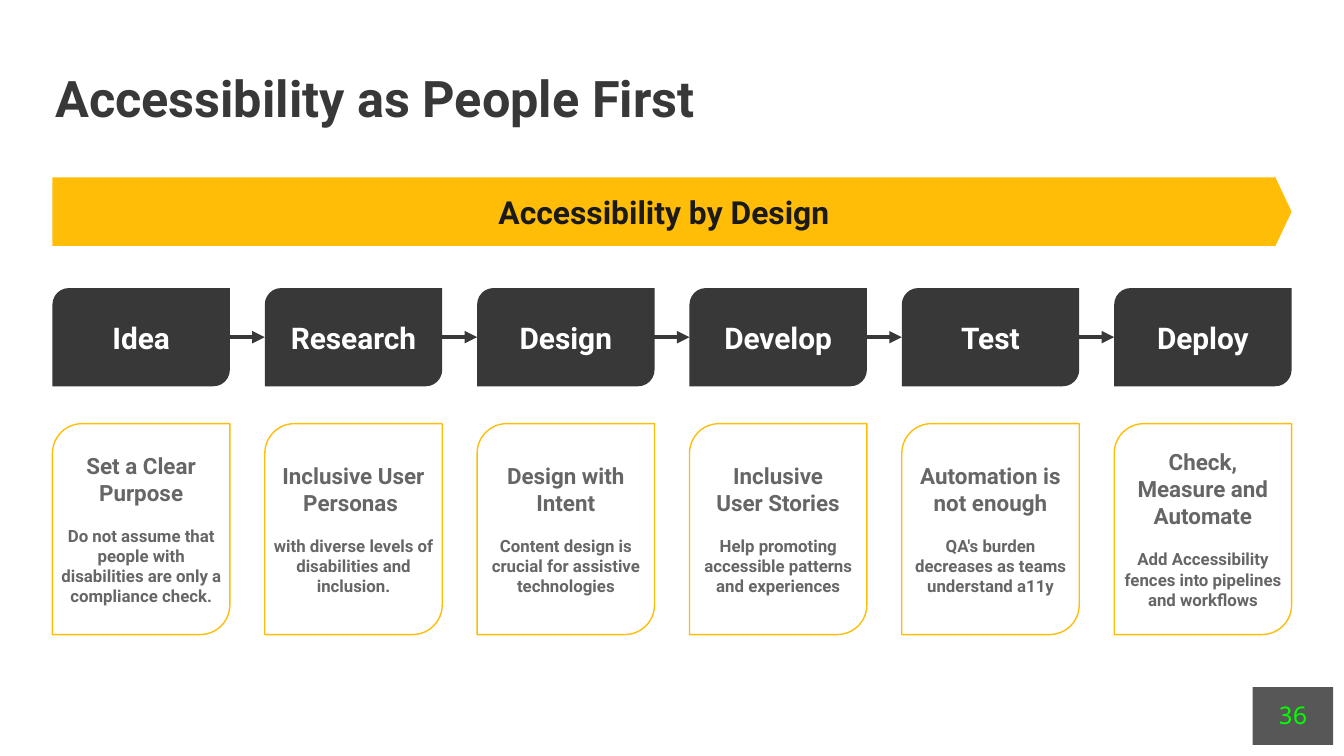
"""Build the Accessibility as People First process slide."""
from lxml.etree import SubElement
from pptx import Presentation
from pptx.dml.color import RGBColor as Rgb
from pptx.enum.shapes import MSO_CONNECTOR as Line, MSO_SHAPE as Form
from pptx.enum.text import MSO_ANCHOR as Anchor, MSO_AUTO_SIZE as Fit, PP_ALIGN as Align
from pptx.oxml.ns import qn
from pptx.util import Inches, Pt

COLORS = {
    "dark": "383838", "accent": "FFBD07", "ink": "1A1A1A", "gray": "666666",
    "paper": "FFFFFF", "black": "000000", "green": "00FF00",
}
MARGIN, COLUMN, GAP = 3.9, 13.2, 2.6
STAGE_TOP, STAGE_HEIGHT = 38.1, 13
CARD_TOP, CARD_HEIGHT = 56.05, 27.9

STAGES = [
    ("Idea", "Set a Clear Purpose",
     "Do not assume that people with disabilities are only a compliance check."),
    ("Research", "Inclusive User Personas ",
     "with diverse levels of disabilities and inclusion."),
    ("Design", "Design with Intent",
     "Content design is crucial for assistive technologies"),
    ("Develop", "Inclusive\nUser Stories",
     "Help promoting accessible patterns and experiences"),
    ("Test", "Automation is not enough",
     "QA's burden decreases as teams understand a11y"),
    ("Deploy", "Check, Measure and Automate",
     "Add Accessibility fences into pipelines and workflows"),
]


def color(name):
    return Rgb.from_string(COLORS[name])


def write(frame, text, size, ink, font="Roboto", bold=True, align=Align.CENTER, before=0):
    for index, line in enumerate(text.split("\n")):
        paragraph = frame.paragraphs[0] if not frame.text else frame.add_paragraph()
        paragraph.alignment = align
        if before and index == 0:
            paragraph.space_before = Pt(before)
        run = paragraph.add_run()
        run.text = line
        run.font.name, run.font.size, run.font.bold = font, Pt(size), bold
        run.font.color.rgb = color(ink)


class Board:
    """Hold the slide and its style, measuring in percent of slide width and height."""

    def __init__(self, deck):
        self.width, self.height = deck.slide_width, deck.slide_height
        self.slide = deck.slides.add_slide(deck.slide_layouts[5])

    def x(self, share):
        return round(self.width * share / 100)

    def y(self, share):
        return round(self.height * share / 100)

    def place(self, left, top, width, height):
        return self.x(left), self.y(top), self.x(width), self.y(height)

    def set_frame(self, frame, insets, anchor):
        frame.word_wrap, frame.auto_size = True, Fit.NONE
        frame.vertical_anchor = anchor
        (frame.margin_left, frame.margin_top,
         frame.margin_right, frame.margin_bottom) = map(Inches, insets)

    def title(self, text, box):
        heading = self.slide.shapes.title
        heading.left, heading.top, heading.width, heading.height = self.place(*box)
        self.set_frame(heading.text_frame, (0.1, 0.05, 0.1, 0.05), Anchor.TOP)
        write(heading.text_frame, text, size=27, ink="dark", align=Align.LEFT)

    def shape(self, form, box, fill, outline=None, adjust=(), alpha=None,
              insets=(0.1,) * 4, anchor=Anchor.MIDDLE):
        block = self.slide.shapes.add_shape(form, *self.place(*box))
        block.shadow.inherit = False
        for index, value in enumerate(adjust):
            block.adjustments[index] = value
        block.fill.solid()
        block.fill.fore_color.rgb = color(fill)
        if alpha:
            tint = block.element.spPr.find(qn("a:solidFill")).find(qn("a:srgbClr"))
            SubElement(tint, qn("a:alpha")).set("val", str(alpha * 1000))
        if outline:
            block.line.color.rgb = color(outline)
            block.line.width = Pt(0.75)
        else:
            block.line.fill.background()
        self.set_frame(block.text_frame, insets, anchor)
        return block.text_frame

    def arrow(self, start, end, level):
        link = self.slide.shapes.add_connector(
            Line.STRAIGHT, self.x(start), self.y(level), self.x(end), self.y(level))
        link.line.color.rgb = color("dark")
        link.line.width = Pt(2.25)
        SubElement(link.line._get_or_add_ln(), qn("a:tailEnd")).set("type", "triangle")
        SubElement(link.element.spPr, qn("a:effectLst"))

    def stage(self, left, name):
        label = self.shape(Form.ROUND_2_DIAG_RECTANGLE,
                           (left, STAGE_TOP, COLUMN, STAGE_HEIGHT),
                           "dark", adjust=(0.167, 0))
        write(label, name, size=16, ink="paper")

    def card(self, left, headline, detail):
        body = self.shape(Form.ROUND_2_DIAG_RECTANGLE,
                          (left, CARD_TOP, COLUMN, CARD_HEIGHT),
                          "paper", outline="accent", adjust=(0.167, 0), insets=(0,) * 4)
        write(body, headline, size=12, ink="gray")
        write(body, detail, size=9, ink="gray", before=10.6)


def main():
    deck = Presentation()
    deck.slide_width = Inches(10)
    deck.slide_height = deck.slide_width * 9 // 16
    board = Board(deck)
    board.title("Accessibility as People First", (3.1, 8.05, 86.5, 11.73))

    banner = board.shape(Form.RIGHT_ARROW, (MARGIN, 23.3, 100 - 2 * MARGIN, 9.42),
                         "accent", adjust=(0.963, 0.236), insets=(0, 0.1, 0, 0.1))
    write(banner, "Accessibility by Design", size=17, ink="ink")

    for index, (name, headline, detail) in enumerate(STAGES):
        left = MARGIN + index * (COLUMN + GAP)
        board.stage(left, name)
        board.card(left, headline, detail)
        if index:
            board.arrow(left - GAP, left, STAGE_TOP + STAGE_HEIGHT / 2)

    number = board.shape(Form.RECTANGLE, (93.2, 90.9, 6, 7.64), "black",
                         alpha=66, anchor=Anchor.TOP)
    write(number, "36", size=13, ink="green", font="Noto Sans Mono", bold=False)
    deck.save("out.pptx")


if __name__ == "__main__":
    main()
